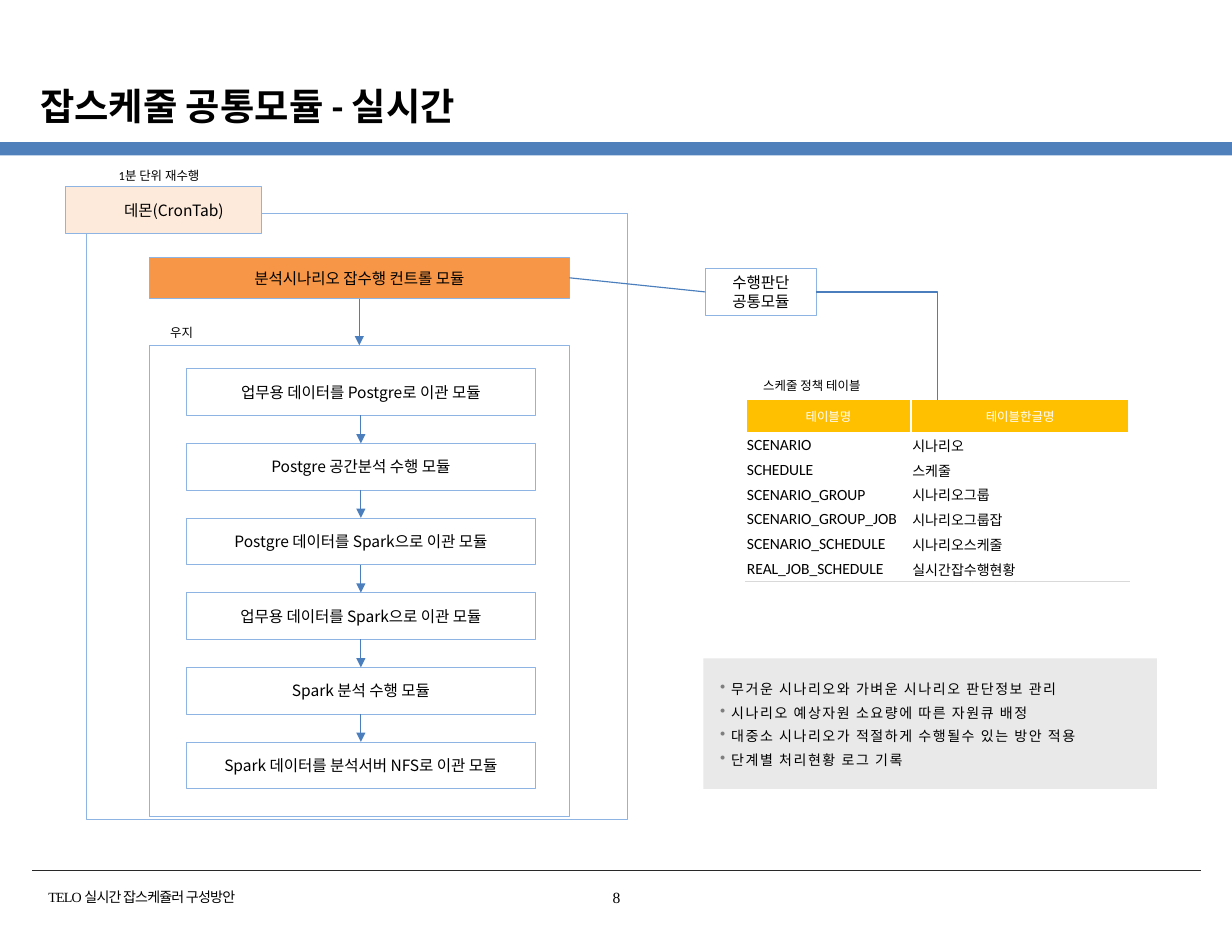
import pptx
import pptx.util
import pptx.dml.color
import pptx.enum.shapes
import pptx.enum.text
import pptx.oxml
import pptx.oxml.ns
from lxml import etree

Pt = pptx.util.Pt
ALIGN = pptx.enum.text.PP_ALIGN
ANCHOR = pptx.enum.text.MSO_ANCHOR
CONNECTOR = pptx.enum.shapes.MSO_CONNECTOR

THEME = {
    "black": "000000", "white": "FFFFFF", "band": "4F80BC", "rule": "282828",
    "outline": "8EB4E3", "arrow": "4B7EBC", "control": "F79646", "daemon": "FDEADA",
    "header": "FFC000", "row_line": "D9D9D9", "panel": "E9E9E9", "bullet": "7E7E7E",
    "title_size": 24, "body_size": 10, "note_size": 9, "label_size": 8,
    "latin": "Calibri", "box_font": "Noto Sans CJK JP",
    "korean": "Noto Sans CJK KR", "footer_font": "Times New Roman",
}

TITLE = "잡스케줄 공통모듈 - 실시간"
FOOTER = "TELO 실시간 잡스케쥴러 구성방안"
PAGE_NUMBER = "8"
DAEMON = "데몬(CronTab)"
CONTROL = "분석시나리오 잡수행 컨트롤 모듈"
DECISION = ["수행판단", "공통모듈"]
STEPS = [
    "업무용 데이터를 Postgre로 이관 모듈",
    "Postgre 공간분석 수행 모듈",
    "Postgre 데이터를 Spark으로 이관 모듈",
    "업무용 데이터를 Spark으로 이관 모듈",
    "Spark 분석 수행 모듈",
    "Spark 데이터를 분석서버 NFS로 이관 모듈",
]
LABELS = [
    ("1분 단위 재수행", 63.4, 104.4, 77.8),
    ("스케줄 정책 테이블", 474.5, 239.8, 95),
    ("우지", 77.8, 205.2, 77.8),
]
TABLE_HEADER = ("테이블명", "테이블한글명")
TABLE_ROWS = [
    ("SCENARIO", "시나리오"),
    ("SCHEDULE", "스케줄"),
    ("SCENARIO_GROUP", "시나리오그룹"),
    ("SCENARIO_GROUP_JOB", "시나리오그룹잡"),
    ("SCENARIO_SCHEDULE", "시나리오스케줄"),
    ("REAL_JOB_SCHEDULE", "실시간잡수행현황"),
]
NOTES = [
    "무거운 시나리오와 가벼운 시나리오 판단정보 관리",
    "시나리오 예상자원 소요량에 따른 자원큐 배정",
    "대중소 시나리오가 적절하게 수행될수 있는 방안 적용",
    "단계별 처리현황 로그 기록",
]


def rgb(key):
    return pptx.dml.color.RGBColor.from_string(THEME[key])


def add_xml(parent, markup):
    namespace = pptx.oxml.ns.nsdecls("a")
    head, tail = markup.split(" ", 1)
    parent.append(pptx.oxml.parse_xml(f"{head} {namespace} {tail}"))


def add_bullet(paragraph):
    properties = paragraph._p.get_or_add_pPr()
    properties.set("marL", str(Pt(8.6)))
    properties.set("indent", str(-Pt(7.2)))
    add_xml(properties, f'<a:buClr ><a:srgbClr val="{THEME["bullet"]}"/></a:buClr>')
    add_xml(properties, '<a:buSzPct val="110000"/>')
    add_xml(properties, '<a:buChar char="•"/>')
    add_xml(properties, f'<a:tabLst ><a:tab pos="{Pt(8.6)}" algn="l"/></a:tabLst>')


def write(frame, text, size="body_size", font="box_font", color="black", bold=False,
          align=ALIGN.CENTER, anchor=ANCHOR.MIDDLE, margins=(0, 0, 0, 0),
          spacing=0, bullet=False, line_spacing=None, gap=0):
    frame.word_wrap = True
    frame.vertical_anchor = anchor
    (frame.margin_left, frame.margin_top,
     frame.margin_right, frame.margin_bottom) = map(Pt, margins)
    lines = [text] if isinstance(text, str) else text
    for index, line in enumerate(lines):
        paragraph = frame.add_paragraph() if index else frame.paragraphs[0]
        if bullet:
            add_bullet(paragraph)
        paragraph.alignment = align
        if line_spacing:
            paragraph.line_spacing = line_spacing
        if index and gap:
            paragraph.space_before = Pt(gap)
        run = paragraph.add_run()
        run.text = line
        run.font.size = Pt(THEME[size])
        run.font.bold = bold
        run.font.color.rgb = rgb(color)
        run.font.name = THEME[font]
        properties = run.font._element
        add_xml(properties, f'<a:ea typeface="{THEME["korean"]}"/>')
        if spacing:
            properties.set("spc", str(int(spacing * 100)))


def add_box(slide, left, top, width, height, fill=None, line=None, text=None, **style):
    box = slide.shapes.add_shape(pptx.enum.shapes.MSO_SHAPE.RECTANGLE,
                                 Pt(left), Pt(top), Pt(width), Pt(height))
    box.shadow.inherit = False
    if fill:
        box.fill.solid()
        box.fill.fore_color.rgb = rgb(fill)
    else:
        box.fill.background()
    if line:
        box.line.color.rgb = rgb(line)
        box.line.width = Pt(0.25)
    else:
        box.line.fill.background()
    if text:
        write(box.text_frame, text, **style)


def add_label(slide, text, left, top, width, height, **style):
    label = slide.shapes.add_textbox(Pt(left), Pt(top), Pt(width), Pt(height))
    write(label.text_frame, text, **style)


def add_line(slide, start, end, color="arrow", width=0.75, arrow=False, bent=False):
    kind = CONNECTOR.ELBOW if bent else CONNECTOR.STRAIGHT
    line = slide.shapes.add_connector(kind, *map(Pt, start + end))
    line.line.color.rgb = rgb(color)
    line.line.width = Pt(width)
    properties = line._element.spPr
    if bent:
        properties.find(pptx.oxml.ns.qn("a:prstGeom")).set("prst", "bentConnector2")
    if arrow:
        add_xml(line.line._get_or_add_ln(), '<a:tailEnd type="triangle"/>')
    etree.SubElement(properties, pptx.oxml.ns.qn("a:effectLst"))


def add_border(cell, sides, color, width):
    for side in sides:
        add_xml(cell._tc.get_or_add_tcPr(),
                f'<a:ln{side} w="{Pt(width)}"><a:solidFill><a:srgbClr val="{THEME[color]}"/>'
                f'</a:solidFill></a:ln{side}>')


def add_policy_table(slide, left, top):
    widths, header_height, row_height = (106.3, 140.2), 20.9, 15.95
    rows = [TABLE_HEADER] + TABLE_ROWS
    table = slide.shapes.add_table(
        len(rows), len(widths), Pt(left), Pt(top), Pt(sum(widths)),
        Pt(header_height + row_height * len(TABLE_ROWS))).table
    table.first_row = table.horz_banding = False
    for column, width in zip(table.columns, widths):
        column.width = Pt(width)
    for row_index, values in enumerate(rows):
        table.rows[row_index].height = Pt(row_height if row_index else header_height)
        for column_index, value in enumerate(values):
            cell = table.cell(row_index, column_index)
            if row_index:
                margins = (0.7, 0.7, 0.7, 0)
                style = {"align": ALIGN.LEFT,
                         "size": "note_size" if column_index else "body_size",
                         "font": "korean" if column_index else "latin"}
                add_border(cell, "B", "row_line", 0.5)
                cell.fill.background()
            else:
                margins = (7.2, 3.6, 7.2, 3.6)
                style = {"size": "label_size", "font": "latin", "color": "white"}
                add_border(cell, "LR", "white", 1.5)
                cell.fill.solid()
                cell.fill.fore_color.rgb = rgb("header")
            write(cell.text_frame, value, **style)
            cell.vertical_anchor = ANCHOR.MIDDLE
            (cell.margin_left, cell.margin_top,
             cell.margin_right, cell.margin_bottom) = map(Pt, margins)


def main():
    deck = pptx.Presentation()
    deck.slide_width, deck.slide_height = Pt(792), Pt(612)
    slide = deck.slides.add_slide(deck.slide_layouts[6])
    module = {"fill": "white", "line": "outline"}

    add_box(slide, 0, 91.4, 792, 8.6, fill="band")
    add_line(slide, (20.6, 559.3), (772, 559.3), color="rule", width=0.25)
    add_label(slide, FOOTER, 31.1, 571.4, 228, 11, size="note_size", font="footer_font",
              align=ALIGN.LEFT, anchor=ANCHOR.TOP, spacing=-0.5)
    add_box(slide, 381.6, 566.6, 29.5, 20.2, fill="white", text=PAGE_NUMBER,
            font="footer_font")
    add_label(slide, TITLE, 18.7, 48.2, 643.7, 38.9, size="title_size", font="latin",
              bold=True, align=ALIGN.LEFT, margins=(7.2, 3.6, 7.2, 3.6))

    add_box(slide, 96, 222, 270, 303, **module)
    add_box(slide, 96, 165.5, 270, 26.5, fill="control", line="outline", text=CONTROL)
    step_left, step_top, step_width, step_height, pitch = 120, 237, 224, 30, 48
    center = step_left + step_width / 2
    for index, step in enumerate(STEPS):
        top = step_top + index * pitch
        add_box(slide, step_left, top, step_width, step_height, text=step, **module)
        if index:
            add_line(slide, (center, top - pitch + step_height), (center, top), arrow=True)
    add_line(slide, (231, 192), (231, 222), arrow=True)

    add_box(slide, 55.5, 137, 348, 390, line="outline")
    add_box(slide, 42, 120, 126, 30, fill="daemon", line="outline", text=DAEMON,
            margins=(13.5, 0, 0, 0))
    add_box(slide, 453.5, 172.6, 71.3, 30.2, text=DECISION, **module)
    add_line(slide, (366, 178.6), (453.5, 187.7))

    add_policy_table(slide, 479.5, 257)
    add_line(slide, (524.5, 187.7), (602.6, 257), bent=True)
    for text, left, top, width in LABELS:
        add_label(slide, text, left, top, width, 17, size="label_size", font="latin",
                  anchor=ANCHOR.TOP, margins=(7.2, 3.6, 7.2, 3.6))

    add_box(slide, 452.2, 423.2, 291.6, 84, fill="panel")
    add_label(slide, NOTES, 461.5, 435.6, 257, 58, size="note_size", align=ALIGN.LEFT,
              anchor=ANCHOR.TOP, margins=(0, 0.7, 0, 0), spacing=1, bullet=True,
              line_spacing=1.11, gap=3.1)
    deck.save("out.pptx")


if __name__ == "__main__":
    main()
